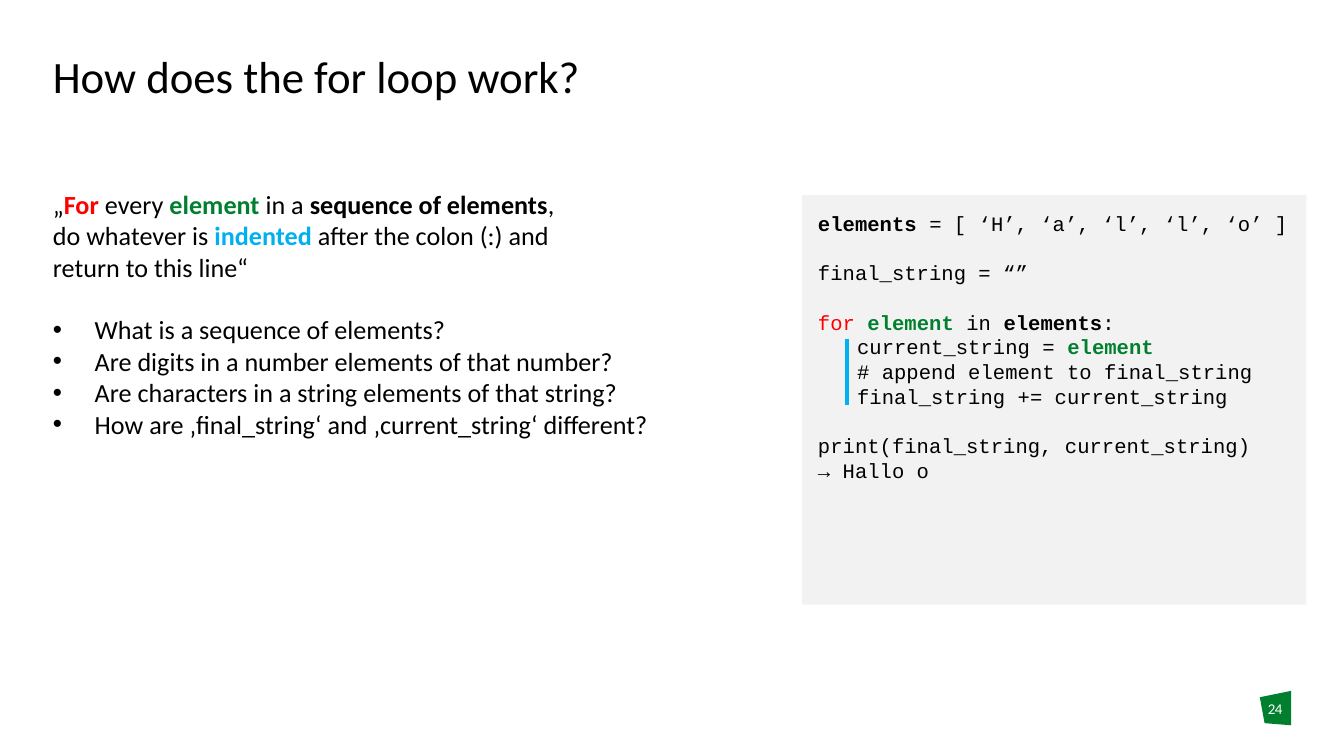
import dataclasses

import lxml.etree
import pptx
import pptx.dml.color
import pptx.enum.shapes
import pptx.enum.text
import pptx.oxml.ns
import pptx.util

Cm, Pt = pptx.util.Cm, pptx.util.Pt


@dataclasses.dataclass(frozen=True)
class Theme:
    text_font: str = "Calibri"
    code_font: str = "Courier New"
    black: str = "000000"
    white: str = "FFFFFF"
    red: str = "FF0000"
    green: str = "00802F"
    blue: str = "00B0F0"
    panel: str = "F2F2F2"
    title_size: float = 24
    body_size: float = 14
    code_size: float = 11
    number_size: float = 8


THEME = Theme()

# Named run styles: colour, bold
STYLES = {
    "plain": (THEME.black, False),
    "strong": (THEME.black, True),
    "keyword": (THEME.red, False),
    "keyword strong": (THEME.red, True),
    "item": (THEME.green, True),
    "block": (THEME.blue, True),
    "number": (THEME.white, False),
}

# A line is a string or a list of (text, style) pairs.
TITLE = ["How does the for loop work?"]
STATEMENT = [
    [("„", "plain"), ("For ", "keyword strong"), ("every ", "plain"), ("element", "item"),
     (" in a ", "plain"), ("sequence of elements", "strong"), (",", "plain")],
    [("do whatever is ", "plain"), ("indented", "block"), (" after the colon (:) and", "plain")],
    "return to this line“",
]
QUESTIONS = [
    "What is a sequence of elements?",
    "Are digits in a number elements of that number?",
    "Are characters in a string elements of that string?",
    "How are ‚final_string‘ and ‚current_string‘ different?",
]
SETUP = [[("elements", "strong"), (" = [ ‘H’, ‘a’, ‘l’, ‘l’, ‘o’ ]", "plain")]]
RESULT = ["final_string = “”"]
LOOP_HEAD = [[("for ", "keyword"), ("element", "item"), (" in ", "plain"),
              ("elements", "strong"), (":", "plain")]]
LOOP_BODY = [
    [("current_string = ", "plain"), ("element", "item")],
    "# append element to final_string",
    "final_string += current_string",
]
OUTPUT = ["print(final_string, current_string)", "→ Hallo o"]
PAGE_NUMBER = [[("24", "number")]]

# Left, top, width, height in centimetres
TITLE_AREA = (1, 1.04, 23.42, 1.7)
BODY_AREA = (1, 3.56, 11.7, 8.89)
CODE_AREA = (15.16, 3.69, 9.53, 7.74)
NUMBER_AREA = (23.8, 13.23, 0.6, 0.76)
BADGE_OUTLINE = [(23.81, 13.18), (24.4, 13.06), (24.4, 13.71), (23.9, 13.67)]
INDENT_BAR = (16, 6.4, 16, 7.65)
CODE_MARGIN = 0.3
LOOP_INDENT = 0.74
BULLET_INDENT = 0.79
LINE_FACTOR = 1.2


def rgb(value):
    return pptx.dml.color.RGBColor.from_string(value)


def prepare_frame(shape, margin=0):
    frame = shape.text_frame
    frame.word_wrap = True
    frame.vertical_anchor = pptx.enum.text.MSO_ANCHOR.TOP
    frame.margin_left = frame.margin_right = Cm(margin)
    frame.margin_top = frame.margin_bottom = Cm(margin)
    return frame


def add_text_box(page, area):
    return prepare_frame(page.shapes.add_textbox(*map(Cm, area)))


def add_lines(frame, lines, size, font=THEME.text_font, spacing=None, gap=0,
              indent=0, bullet=None, centred=False, tracking=None):
    """Append paragraphs; gap is the space in points above the first one."""
    for index, line in enumerate(lines):
        first = frame.paragraphs[0]
        para = frame.add_paragraph() if first.runs else first
        para.alignment = (pptx.enum.text.PP_ALIGN.CENTER if centred
                          else pptx.enum.text.PP_ALIGN.LEFT)
        if spacing:
            para.line_spacing = spacing
        para.space_before = Pt(gap if index == 0 else 0)
        properties = para._p.get_or_add_pPr()
        if indent:
            properties.set("marL", str(Cm(indent)))
        if bullet:
            properties.set("indent", str(-Cm(indent)))
            for tag, key, value in (("a:buFont", "typeface", "Arial"),
                                    ("a:buChar", "char", bullet)):
                mark = lxml.etree.SubElement(properties, pptx.oxml.ns.qn(tag))
                mark.set(key, value)
        for text, style in [(line, "plain")] if isinstance(line, str) else line:
            colour, bold = STYLES[style]
            span = para.add_run()
            span.text = text
            span.font.name = font
            span.font.size = Pt(size)
            span.font.bold = bold
            span.font.color.rgb = rgb(colour)
            if tracking:
                span._r.get_or_add_rPr().set("spc", str(round(tracking * 100)))


def fill_flat(shape, colour):
    shape.shadow.inherit = False
    shape.fill.solid()
    shape.fill.fore_color.rgb = rgb(colour)
    shape.line.fill.background()


def add_badge(page):
    start, *corners = [(Cm(x), Cm(y)) for x, y in BADGE_OUTLINE]
    builder = page.shapes.build_freeform(*start)
    builder.add_line_segments(corners, close=True)
    fill_flat(builder.convert_to_shape(), THEME.green)
    add_lines(add_text_box(page, NUMBER_AREA), PAGE_NUMBER, THEME.number_size,
              centred=True, tracking=-0.3)


def add_body(page):
    frame = add_text_box(page, BODY_AREA)
    pitch = THEME.body_size * LINE_FACTOR
    form = dict(size=THEME.body_size, spacing=Pt(pitch))
    add_lines(frame, STATEMENT, **form)
    add_lines(frame, QUESTIONS, gap=pitch, indent=BULLET_INDENT, bullet="•", **form)


def add_code(page):
    panel = page.shapes.add_shape(pptx.enum.shapes.MSO_SHAPE.RECTANGLE, *map(Cm, CODE_AREA))
    fill_flat(panel, THEME.panel)
    frame = prepare_frame(panel, CODE_MARGIN)
    pitch = THEME.code_size * LINE_FACTOR
    form = dict(size=THEME.code_size, font=THEME.code_font, spacing=Pt(pitch))
    add_lines(frame, SETUP, **form)
    add_lines(frame, RESULT, gap=pitch, **form)
    add_lines(frame, LOOP_HEAD, gap=pitch, **form)
    add_lines(frame, LOOP_BODY, indent=LOOP_INDENT, **form)
    add_lines(frame, OUTPUT, gap=pitch, **form)

    bar = page.shapes.add_connector(pptx.enum.shapes.MSO_CONNECTOR.STRAIGHT,
                                    *map(Cm, INDENT_BAR))
    bar.line.color.rgb = rgb(THEME.blue)
    bar.line.width = Pt(2.25)
    lxml.etree.SubElement(bar._element.spPr, pptx.oxml.ns.qn("a:effectLst"))


def main():
    deck = pptx.Presentation()
    deck.slide_width, deck.slide_height = Cm(25.4), Cm(14.29)
    page = deck.slides.add_slide(deck.slide_layouts[6])
    add_badge(page)
    add_lines(add_text_box(page, TITLE_AREA), TITLE, THEME.title_size, spacing=0.9)
    add_body(page)
    add_code(page)
    deck.save("out.pptx")


if __name__ == "__main__":
    main()
